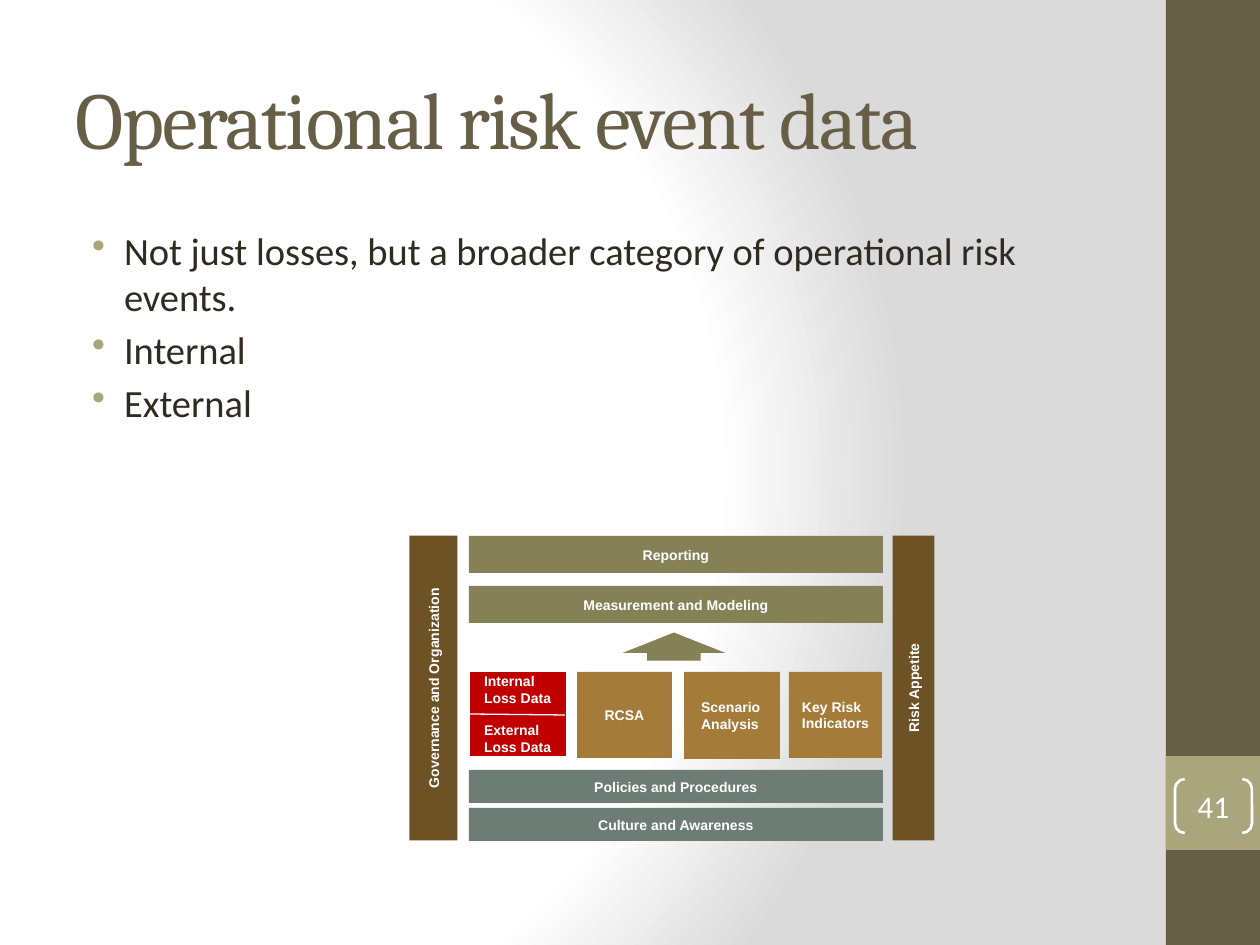
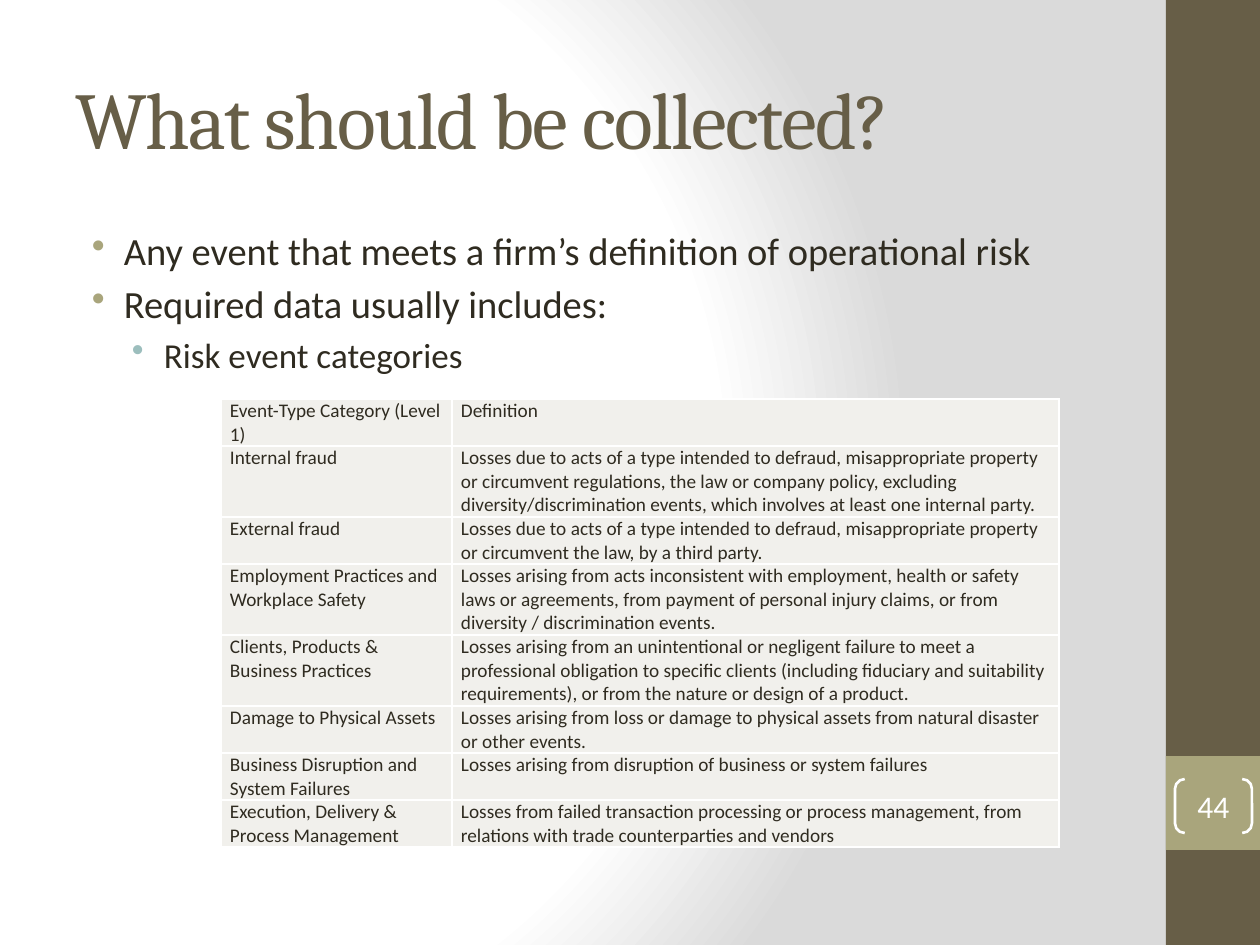
from dataclasses import dataclass
from typing import NamedTuple

from pptx import Presentation
from pptx import util as u
from pptx.dml.color import RGBColor
from pptx.enum import shapes, text
from pptx.oxml import parse_xml
from pptx.oxml.ns import nsdecls

SCALE = 914400 / 126  # EMU in one px
KIND = shapes.MSO_SHAPE
LEFT, MID = text.PP_ALIGN.LEFT, text.PP_ALIGN.CENTER


def px(n: float) -> u.Emu:
    return u.Emu(round(n * SCALE))


# Colours, fonts and type sizes
@dataclass(frozen=True)
class Theme:
    brown: str = "675E47"
    sand: str = "A9A57C"
    ink: str = "2F2B20"
    white: str = "FFFFFF"
    grey: str = "DADADA"
    teal: str = "9CBEBD"
    cell: str = "F1F0EC"
    olive: str = "858157"
    slate: str = "6D7D76"
    gold: str = "A47B38"
    red: str = "C00000"
    bark: str = "6D5225"
    serif: str = "Cambria"
    sans: str = "Calibri"
    block: str = "Arial"
    title: int = 46
    body: int = 22
    sub: int = 20
    page: int = 18
    grid: int = 11
    label: int = 8


T = Theme()


class Rect(NamedTuple):
    x: int
    y: int
    w: int
    h: int

    def emu(self) -> list:
        return [px(n) for n in self]


class Face(NamedTuple):
    name: str
    size: int
    hue: str
    bold: bool = False


class Block(NamedTuple):
    lines: tuple
    rect: Rect
    fill: str
    pad: int = 13
    align: text.PP_ALIGN = MID
    turn: int = 0
    kind: shapes.MSO_SHAPE = KIND.RECTANGLE
    bends: tuple = ()


class Point(NamedTuple):
    words: str
    level: int = 0


class Row(NamedTuple):
    name: str
    sense: str
    lines: int = 2


LABEL = Face(T.block, T.label, T.white, True)
TITLE = Face(T.serif, T.title, T.brown)
PAGE = Face(T.sans, T.page, T.white)
GRID = Face(T.sans, T.grid, T.ink)
# Size, bullet colour and left margin of each level
LEVELS = ((T.body, T.sand, 48), (T.sub, T.teal, 88))


# Text helpers
def rgb(hue: str) -> RGBColor:
    return RGBColor.from_string(hue)


def add_run(para, words: str, face: Face):
    run = para.add_run()
    run.text = words
    font = run.font
    font.name, font.size, font.bold = face.name, u.Pt(face.size), face.bold
    font.color.rgb = rgb(face.hue)
    return run


def set_frame(frame, pad: tuple, anchor) -> None:
    frame.word_wrap = True
    frame.vertical_anchor = anchor
    (frame.margin_left, frame.margin_top,
     frame.margin_right, frame.margin_bottom) = [px(n) for n in pad]


def next_para(frame, index: int):
    return frame.paragraphs[0] if index == 0 else frame.add_paragraph()


# Shape helpers
def add_block(slide, block: Block):
    shape = slide.shapes.add_shape(block.kind, *block.rect.emu())
    shape.shadow.inherit = False
    shape.rotation = block.turn
    for i, bend in enumerate(block.bends):
        shape.adjustments[i] = bend
    shape.fill.solid()
    shape.fill.fore_color.rgb = rgb(block.fill)
    shape.line.fill.background()
    frame = shape.text_frame
    set_frame(frame, (block.pad, 6, 6 if block.align == LEFT else block.pad, 6),
              text.MSO_ANCHOR.MIDDLE)
    for i, (words, gap) in enumerate(block.lines):
        para = next_para(frame, i)
        para.alignment = block.align
        if gap:
            para.space_before = u.Pt(gap)
        add_run(para, words, LABEL)
    return shape


def add_rule(slide, x1: int, y1: int, x2: int, y2: int) -> None:
    rule = slide.shapes.add_connector(
        shapes.MSO_CONNECTOR.STRAIGHT, px(x1), px(y1), px(x2), px(y2))
    rule.line.color.rgb = rgb(T.white)
    rule.line.width = u.Pt(0.75)
    rule._element.spPr.append(parse_xml(f"<a:effectLst {nsdecls('a')}/>"))


def add_points(slide, rect: Rect, points: tuple) -> None:
    frame = slide.shapes.add_textbox(*rect.emu()).text_frame
    set_frame(frame, (13, 6, 13, 6), text.MSO_ANCHOR.TOP)
    for i, point in enumerate(points):
        size, hue, left = LEVELS[point.level]
        para = next_para(frame, i)
        props = para._p.get_or_add_pPr()
        props.set("marL", str(px(left)))
        props.set("indent", str(px(-32)))
        for tag in (f'<a:buClr {nsdecls("a")}><a:srgbClr val="{hue}"/></a:buClr>',
                    f'<a:buChar {nsdecls("a")} char="•"/>'):
            props.append(parse_xml(tag))
        para.level = point.level
        if i:
            para.space_before = u.Pt(4)
        add_run(para, point.words, Face(T.sans, size, T.ink))


def add_edges(cell) -> None:
    props = cell._tc.get_or_add_tcPr()
    for i, side in enumerate("LRTB"):
        props.insert(i, parse_xml(
            f'<a:ln{side} {nsdecls("a")} w="12700"><a:solidFill>'
            f'<a:srgbClr val="{T.white}"/></a:solidFill></a:ln{side}>'))


def add_grid(slide, x: int, y: int, widths: tuple, rows: tuple) -> None:
    heights = [47 if row.lines == 2 else 71 for row in rows]
    rect = Rect(x, y, sum(widths), sum(heights))
    table = slide.shapes.add_table(len(rows), len(widths), *rect.emu()).table
    table.first_row = table.horz_banding = False
    for col, width in zip(table.columns, widths):
        col.width = px(width)
    for r, row in enumerate(rows):
        table.rows[r].height = px(heights[r])
        for c, words in enumerate((row.name, row.sense)):
            cell = table.cell(r, c)
            cell.margin_left = cell.margin_right = px(9)
            cell.margin_top = cell.margin_bottom = 0
            cell.fill.solid()
            cell.fill.fore_color.rgb = rgb(T.cell)
            add_edges(cell)
            add_run(cell.text_frame.paragraphs[0], words, GRID)


# Shared slide frame: backdrop, side band, title, page number
def paint_back(slide) -> None:
    slide.background.fill.gradient()
    old = slide._element.xpath(".//p:bgPr/a:gradFill")[0]
    stops = "".join(
        f'<a:gs pos="{at * 1000}"><a:srgbClr val="{hue}"/></a:gs>'
        for at, hue in ((0, T.white), (75, T.white), (100, T.grey)))
    old.getparent().replace(old, parse_xml(
        f'<a:gradFill {nsdecls("a")} rotWithShape="1"><a:gsLst>{stops}</a:gsLst>'
        '<a:path path="circle"><a:fillToRect l="20000" t="50000" r="100000" '
        'b="50000"/></a:path></a:gradFill>'))


def add_page(deck, title: str, number: int):
    slide = deck.slides.add_slide(deck.slide_layouts[6])
    paint_back(slide)
    add_block(slide, Block((), Rect(1166, 0, 94, 945), T.brown))
    add_block(slide, Block((), Rect(1166, 756, 94, 94), T.sand))

    frame = slide.shapes.add_textbox(*Rect(63, 38, 1050, 158).emu()).text_frame
    set_frame(frame, (13, 6, 13, 6), text.MSO_ANCHOR.MIDDLE)
    run = add_run(frame.paragraphs[0], title, TITLE)
    run._r.get_or_add_rPr().set("spc", "-100")

    mark = slide.shapes.add_shape(KIND.DOUBLE_BRACKET, *Rect(1175, 779, 77, 54).emu())
    mark.shadow.inherit = False
    mark.adjustments[0] = 0.18
    mark.fill.background()
    mark.line.color.rgb = rgb(T.white)
    mark.line.width = u.Pt(1.5)
    set_frame(mark.text_frame, (0, 0, 0, 0), text.MSO_ANCHOR.MIDDLE)
    para = mark.text_frame.paragraphs[0]
    para.alignment = MID
    add_run(para, str(number), PAGE)
    return slide


# Slide content
def one(words: str) -> tuple:
    return ((words, 0),)


BARS = tuple(
    Block(one(words), Rect(469, y, 414, h), hue)
    for words, y, h, hue in (
        ("Reporting", 536, 37, T.olive),
        ("Measurement and Modeling", 586, 37, T.olive),
        ("Policies and Procedures", 770, 33, T.slate),
        ("Culture and Awareness", 808, 33, T.slate)))

PARTS = BARS + (
    Block((("Internal", 0), ("Loss Data", 0), ("External Loss Data", 9)),
          Rect(470, 672, 96, 84), T.red, 14, LEFT),
    Block(one("RCSA"), Rect(577, 672, 95, 86), T.gold),
    Block(one("Scenario Analysis"), Rect(684, 672, 96, 87), T.gold, 17, LEFT),
    Block(one("Key Risk Indicators"), Rect(789, 672, 93, 86), T.gold, 13, LEFT),
    Block((), Rect(660, 595, 28, 103), T.olive, turn=270,
          kind=KIND.RIGHT_ARROW, bends=(0.52, 0.73)),
    Block(one("Governance and Organization"), Rect(281, 664, 305, 48), T.bark, turn=270),
    Block(one("Risk Appetite"), Rect(761, 667, 305, 42), T.bark, turn=270),
)

ROWS = (
    Row("Event-Type Category (Level 1)", "Definition"),
    Row("Internal fraud", "Losses due to acts of a type intended to defraud, misappropriate "
        "property or circumvent regulations, the law or company policy, excluding "
        "diversity/discrimination events, which involves at least one internal party.", 3),
    Row("External fraud", "Losses due to acts of a type intended to defraud, misappropriate "
        "property or circumvent the law, by a third party."),
    Row("Employment Practices and Workplace Safety", "Losses arising from acts inconsistent "
        "with employment, health or safety laws or agreements, from payment of personal "
        "injury claims, or from diversity / discrimination events.", 3),
    Row("Clients, Products & Business Practices", "Losses arising from an unintentional or "
        "negligent failure to meet a professional obligation to specific clients (including "
        "fiduciary and suitability requirements), or from the nature or design of a product.", 3),
    Row("Damage to Physical Assets", "Losses arising from loss or damage to physical assets "
        "from natural disaster or other events."),
    Row("Business Disruption and System Failures",
        "Losses arising from disruption of business or system failures"),
    Row("Execution, Delivery & Process Management", "Losses from failed transaction processing "
        "or process management, from relations with trade counterparties and vendors"),
)


def main() -> None:
    deck = Presentation()
    deck.slide_width, deck.slide_height = px(1260), px(945)

    # Risk event data with its framework diagram
    slide = add_page(deck, "Operational risk event data", 41)
    add_points(slide, Rect(63, 221, 1050, 300), (
        Point("Not just losses, but a broader category of operational risk events."),
        Point("Internal"), Point("External")))
    for part in PARTS:
        add_block(slide, part)
    add_rule(slide, 469, 714, 565, 715)

    # Event categories in a table
    slide = add_page(deck, "What should be collected?", 44)
    add_points(slide, Rect(63, 221, 1134, 179), (
        Point("Any event that meets a firm’s definition of operational risk"),
        Point("Required data usually includes:"), Point("Risk event categories", 1)))
    add_grid(slide, 221, 399, (231, 607), ROWS)

    deck.save("out.pptx")


if __name__ == "__main__":
    main()
